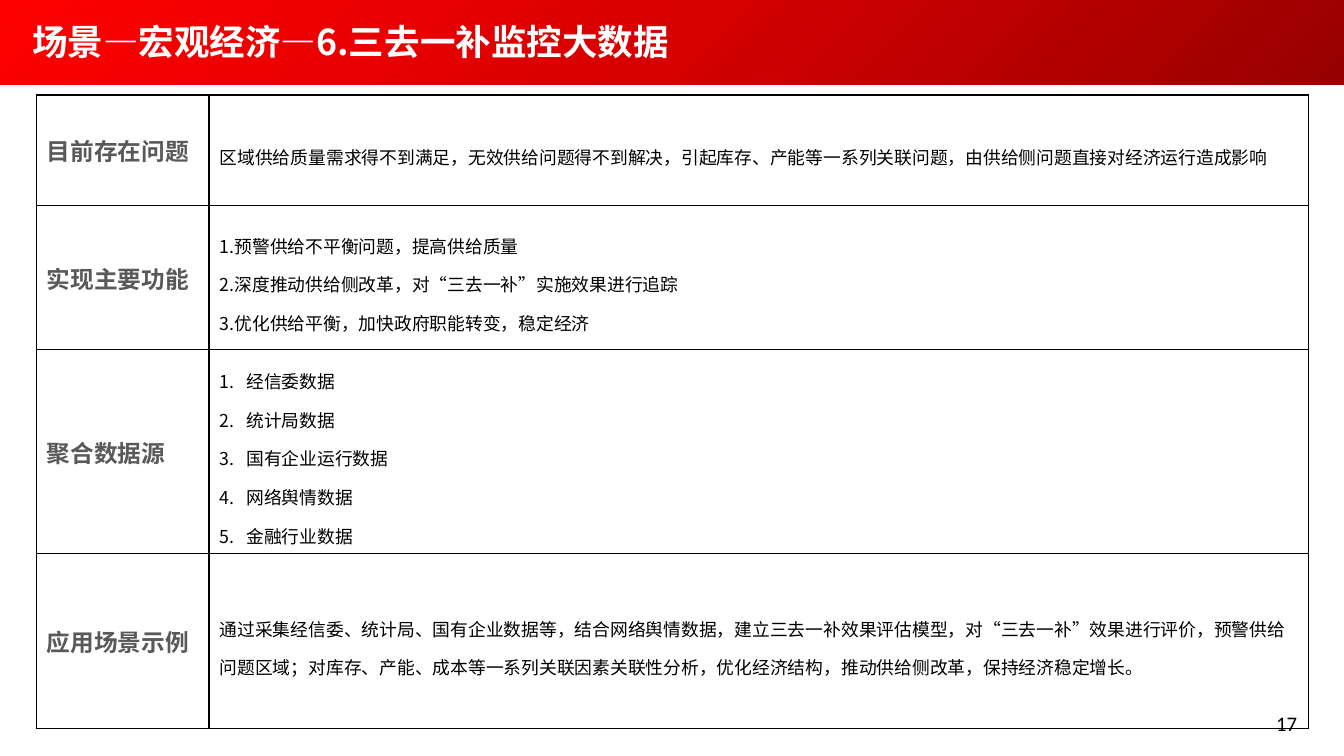
from copy import deepcopy

from lxml.etree import SubElement
from pptx import Presentation
from pptx.dml.color import RGBColor
from pptx.enum.shapes import MSO_SHAPE
from pptx.enum.text import MSO_ANCHOR, PP_ALIGN
from pptx.oxml import parse_xml
from pptx.oxml.ns import nsdecls, qn
from pptx.util import Inches, Pt

COLORS = {"bright": "FF0000", "middle": "D70000", "dark": "970000",
          "label": "595959", "text": "000000", "title": "FFFFFF"}
CJK = "Noto Sans CJK SC"
WIDTH, HEIGHT = 12.6, 7.09
BANNER_HEIGHT = 0.79
COLUMN_WIDTHS = [1.62, 10.31]

# Label, row height, numbered list or not, paragraphs
SECTIONS = [
    ("目前存在问题", 1.04, False,
     ["区域供给质量需求得不到满足，无效供给问题得不到解决，引起库存、产能等一系列关联问题，由供给侧问题直接对经济运行造成影响"]),
    ("实现主要功能", 1.35, False,
     ["1.预警供给不平衡问题，提高供给质量",
      "2.深度推动供给侧改革，对“三去一补”实施效果进行追踪",
      "3.优化供给平衡，加快政府职能转变，稳定经济"]),
    ("聚合数据源", 1.64, True,
     ["经信委数据", "统计局数据", "国有企业运行数据", "网络舆情数据", "金融行业数据"]),
    ("应用场景示例", 1.64, False,
     ["通过采集经信委、统计局、国有企业数据等，结合网络舆情数据，建立三去一补效果评估模型，"
      "对“三去一补”效果进行评价，预警供给问题区域；对库存、产能、成本等一系列关联因素关联性分析，"
      "优化经济结构，推动供给侧改革，保持经济稳定增长。"]),
]


def style(paragraph, size, color, bold=False, face=CJK):
    font = paragraph.font
    font.size, font.bold, font.name = Pt(size), bold, face
    font.color.rgb = RGBColor.from_string(COLORS[color])
    east_asian = SubElement(font._element, qn("a:ea"))
    east_asian.set("typeface", face)


def fill_cell(cell, lines, size, color, bold=False, spacing=1.0, numbered=False):
    cell.fill.background()
    cell.vertical_anchor = MSO_ANCHOR.MIDDLE
    for position, side in enumerate(("lnL", "lnR", "lnT", "lnB")):
        border = parse_xml(
            f'<a:{side} {nsdecls("a")} w="12700"><a:solidFill>'
            f'<a:srgbClr val="{COLORS["text"]}"/></a:solidFill></a:{side}>')
        cell._tc.get_or_add_tcPr().insert(position, border)
    cell.text = "\n".join(lines)
    for paragraph in cell.text_frame.paragraphs:
        paragraph.line_spacing = spacing
        if numbered:
            properties = paragraph._p.get_or_add_pPr()
            properties.set("marL", str(Inches(0.25)))
            properties.set("indent", str(-Inches(0.25)))
            SubElement(properties, qn("a:buAutoNum")).set("type", "arabicPeriod")
        style(paragraph, size, color, bold)


prs = Presentation()
prs.slide_width, prs.slide_height = Inches(WIDTH), Inches(HEIGHT)
slide = prs.slides.add_slide(prs.slide_layouts[5])

# Banner with a three-stop gradient, behind the title
banner = slide.shapes.add_shape(
    MSO_SHAPE.RECTANGLE, 0, 0, prs.slide_width, Inches(BANNER_HEIGHT))
banner.shadow.inherit = False
banner.line.fill.background()
banner.fill.gradient()
banner.fill.gradient_angle = 315
first_stop = banner._element.spPr.find(".//" + qn("a:gs"))
first_stop.addnext(deepcopy(first_stop))
for stop, position, shade in zip(banner.fill.gradient_stops, (0, 0.5, 1),
                                 ("bright", "middle", "dark")):
    stop.position = position
    stop.color.rgb = RGBColor.from_string(COLORS[shade])
slide.shapes._spTree.insert(2, banner._element)

# Title
title = slide.shapes.title
title.left, title.top = Inches(0.19), Inches(0.07)
title.width, title.height = Inches(11.91), Inches(0.64)
heading = title.text_frame
heading.text = "场景—宏观经济—6.三去一补监控大数据"
heading.vertical_anchor = MSO_ANCHOR.MIDDLE
heading.margin_left = heading.margin_right = Inches(0.11)
heading.margin_top = heading.margin_bottom = Inches(0.06)
heading.paragraphs[0].alignment = PP_ALIGN.LEFT
style(heading.paragraphs[0], 24, "title", bold=True)

# Scenario table
scenario = slide.shapes.add_table(
    len(SECTIONS), len(COLUMN_WIDTHS), Inches(0.34), Inches(0.89),
    Inches(sum(COLUMN_WIDTHS)), Inches(sum(s[1] for s in SECTIONS))).table
scenario.first_row = scenario.horz_banding = False
for column, width in zip(scenario.columns, COLUMN_WIDTHS):
    column.width = Inches(width)
for row, (label, height, numbered, lines) in zip(scenario.rows, SECTIONS):
    row.height = Inches(height)
    fill_cell(row.cells[0], [label], 16, "label", bold=True)
    fill_cell(row.cells[1], lines, 12, "text", spacing=1.5, numbered=numbered)

# Page number
page_number = slide.shapes.add_textbox(
    Inches(9.32), Inches(6.62), Inches(2.94), Inches(0.38)).text_frame
page_number.word_wrap = True
page_number.text = "17"
page_number.paragraphs[0].alignment = PP_ALIGN.RIGHT
style(page_number.paragraphs[0], 14, "text", face="Calibri")

prs.save("out.pptx")
